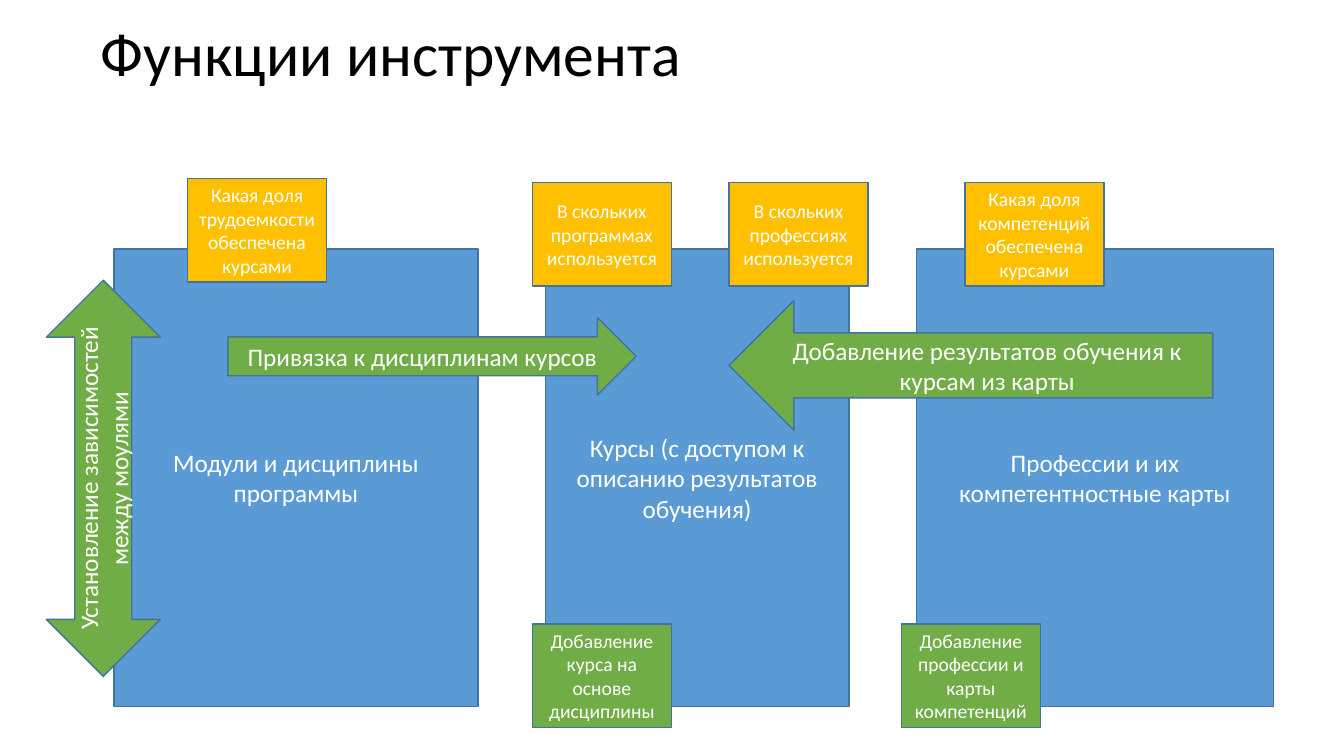
"""Build the slide on the functions of the course planning tool."""
from dataclasses import dataclass

from pptx import Presentation
from pptx.dml.color import RGBColor
from pptx.enum import shapes, text
from pptx.util import Inches, Pt

Kind = shapes.MSO_SHAPE


@dataclass(frozen=True)
class Theme:
    font: str = "Calibri"
    blue: str = "5B9BD5"
    green: str = "70AD47"
    gold: str = "FFC000"
    edge: str = "43739E"
    white: str = "FFFFFF"
    black: str = "000000"
    head: int = 44
    body: int = 18
    note: int = 14


@dataclass(frozen=True)
class Panel:
    label: str
    left: float
    width: float


@dataclass(frozen=True)
class Note:
    label: str
    left: float
    top: float
    fill: str


@dataclass(frozen=True)
class Arrow:
    label: str
    kind: Kind
    box: tuple[float, float, float, float]
    turn: int = 0


THEME = Theme()
PANELS = (
    Panel("Модули и дисциплины программы", 1.13, 3.61),
    Panel("Курсы (с доступом к описанию результатов обучения)", 5.41, 3.01),
    Panel("Профессии и их компетентностные карты", 9.09, 3.54),
)
NOTES = (
    Note("В скольких программах используется", 5.28, 1.81, THEME.gold),
    Note("В скольких профессиях используется", 7.23, 1.81, THEME.gold),
    Note("Какая доля трудоемкости обеспечена курсами", 1.86, 1.77, THEME.gold),
    Note("Добавление профессии и карты компетенций", 8.94, 6.19, THEME.green),
    Note("Добавление курса на основе дисциплины", 5.28, 6.19, THEME.green),
    Note("Какая доля компетенций обеспечена курсами", 9.57, 1.81, THEME.gold),
)
ARROWS = (
    Arrow("Установление зависимостей между моулями", Kind.LEFT_RIGHT_ARROW,
          (-0.94, 4.18, 3.93, 1.13), 270),
    Arrow("Привязка к дисциплинам курсов", Kind.RIGHT_ARROW,
          (2.26, 3.15, 4.05, 0.77)),
    Arrow("Добавление результатов обучения к курсам из карты", Kind.LEFT_ARROW,
          (7.23, 2.98, 4.8, 1.29)),
)


def write(shape, label: str, *, size: int = THEME.body, color: str = THEME.white,
          align=text.PP_ALIGN.CENTER, space: float = 1.0) -> None:
    """Put formatted text into a shape."""
    frame = shape.text_frame
    frame.word_wrap = True
    frame.vertical_anchor = text.MSO_ANCHOR.MIDDLE
    para = frame.paragraphs[0]
    para.alignment = align
    para.line_spacing = space
    run = para.add_run()
    run.text = label
    run.font.name = THEME.font
    run.font.size = Pt(size)
    run.font.color.rgb = RGBColor.from_string(color)


def block(slide, kind: Kind, box: tuple[float, float, float, float], fill: str,
          label: str, size: int = THEME.body, turn: int = 0) -> None:
    """Draw a filled and labelled preset shape."""
    shape = slide.shapes.add_shape(kind, *map(Inches, box))
    shape.rotation = turn
    shape.shadow.inherit = False
    shape.fill.solid()
    shape.fill.fore_color.rgb = RGBColor.from_string(fill)
    shape.line.color.rgb = RGBColor.from_string(THEME.edge)
    shape.line.width = Pt(1)
    write(shape, label, size=size)


def main() -> None:
    """Draw the slide and save it."""
    deck = Presentation()
    deck.slide_width, deck.slide_height = Inches(13.33), Inches(7.5)
    slide = deck.slides.add_slide(deck.slide_layouts[6])

    for panel in PANELS:
        block(slide, Kind.RECTANGLE, (panel.left, 2.47, panel.width, 4.54),
              THEME.blue, panel.label)
    for note in NOTES:
        block(slide, Kind.RECTANGLE, (note.left, note.top, 1.38, 1.03),
              note.fill, note.label, THEME.note)
    for arrow in ARROWS:
        block(slide, arrow.kind, arrow.box, THEME.green, arrow.label,
              turn=arrow.turn)

    title = slide.shapes.add_textbox(*map(Inches, (0.9, -0.16, 11.5, 1.45)))
    write(title, "Функции инструмента", size=THEME.head, color=THEME.black,
          align=text.PP_ALIGN.LEFT, space=0.9)
    deck.save("out.pptx")


if __name__ == "__main__":
    main()
